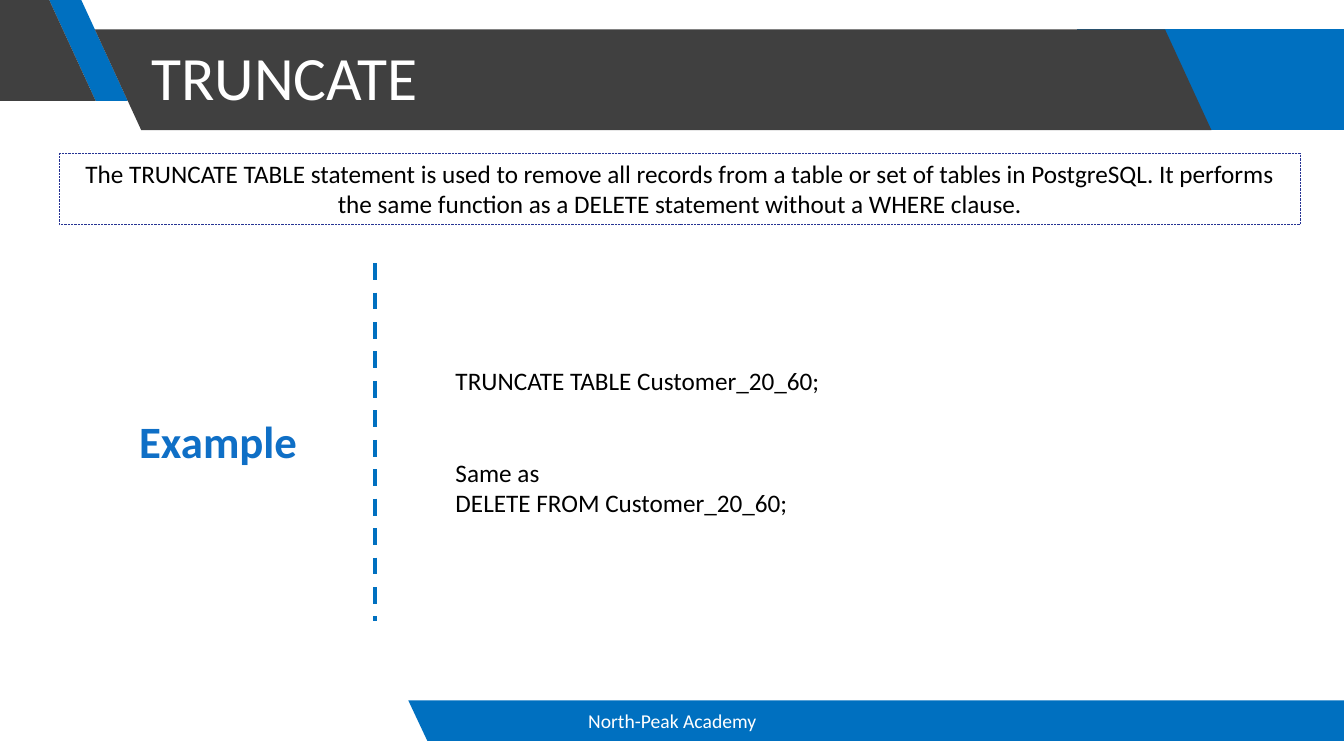
from lxml.etree import SubElement
from pptx import Presentation
from pptx.dml.color import RGBColor
from pptx.enum.dml import MSO_LINE
from pptx.enum.shapes import MSO_CONNECTOR, MSO_SHAPE
from pptx.enum.text import MSO_ANCHOR, MSO_AUTO_SIZE, PP_ALIGN
from pptx.oxml.ns import qn
from pptx.util import Cm, Pt

WIDE, HIGH = 33.87, 19.05
SLANT = 1.17
HUES = {
    "dark": "404040",
    "blue": "0070C0",
    "navy": "263393",
    "azure": "0F6FC6",
    "white": "FFFFFF",
    "black": "000000",
}


def hue(name):
    """Return the named colour."""
    return RGBColor.from_string(HUES[name])


def place(shape, box):
    """Move a shape to a box given in centimetres."""
    shape.left, shape.top, shape.width, shape.height = map(Cm, box)


def write(shape, lines, size, color, align=PP_ALIGN.LEFT, anchor=MSO_ANCHOR.TOP, bold=False):
    """Fill a shape with evenly styled lines and return its paragraphs."""
    frame = shape.text_frame
    frame.word_wrap = True
    frame.auto_size = MSO_AUTO_SIZE.NONE
    frame.vertical_anchor = anchor
    frame.text = "\n".join(lines)
    for par in frame.paragraphs:
        par.alignment = align
        font = par.font
        font.name, font.size, font.bold = "Calibri", Pt(size), bold
        font.color.rgb = hue(color)
    return frame.paragraphs


def label(slide, box, lines, *style, **more):
    """Add a text box and return its paragraphs."""
    return write(slide.shapes.add_textbox(*map(Cm, box)), lines, *style, **more)


def slab(slide, box, color, near=0, far=0):
    """Draw a band whose bottom corners shift right by near and far."""
    left, top, width, height = box
    right, base = left + width, top + height
    spots = [(right, top), (right + far, base), (left + near, base)]
    form = slide.shapes.build_freeform(Cm(left), Cm(top))
    form.add_line_segments([(Cm(x), Cm(y)) for x, y in spots])
    band = form.convert_to_shape()
    band.shadow.inherit = False
    band.fill.solid()
    band.fill.fore_color.rgb = hue(color)
    band.line.fill.background()


def header(slide, box, text):
    """Draw the slanted bands and the title over them."""
    left, top, width, height = box
    drop, bar = top + 0.74, left + 2.39
    slab(slide, (left + 27.13, drop, width - 27.13, height), "blue")
    slab(slide, (left + 1.24, top, 0.81, height), "blue", SLANT, SLANT)
    slab(slide, (left, top, 1.24, height), "dark", far=SLANT)
    slab(slide, (bar, drop, 26.97, height), "dark", SLANT, SLANT)
    title = slide.shapes.title
    title.element.getparent().append(title.element)
    place(title, (bar + SLANT, top + 0.18, 25.76, 3.68))
    par, = write(title, [text], 44, "white", anchor=MSO_ANCHOR.MIDDLE)
    par.line_spacing = 0.9


def footer(slide, box, text):
    """Draw the footer band and its name."""
    left, top, width, height = box
    slab(slide, box, "blue", near=0.48)
    label(slide, (left + 0.94, top, 11.43, height), [text], 14, "white",
          PP_ALIGN.CENTER, MSO_ANCHOR.MIDDLE)


def summary(slide, box, text):
    """Draw the dotted frame with the definition."""
    frame = slide.shapes.add_shape(MSO_SHAPE.RECTANGLE, *map(Cm, box))
    frame.shadow.inherit = False
    frame.fill.background()
    frame.line.color.rgb = hue("navy")
    frame.line.width = Pt(0.5)
    frame.line.dash_style = MSO_LINE.ROUND_DOT
    write(frame, [text], 18, "black", PP_ALIGN.CENTER)


def sample(slide, box, name, lines):
    """Draw the heading, the dashed rule and the code."""
    left, top, width, height = box
    rule = Cm(left + 8.28)
    line = slide.shapes.add_connector(
        MSO_CONNECTOR.STRAIGHT, rule, Cm(top), rule, Cm(top + height))
    SubElement(line.element.spPr, qn("a:effectLst"))
    line.line.color.rgb = hue("blue")
    line.line.width = Pt(3)
    line.line.dash_style = MSO_LINE.DASH
    pars = label(slide, (left + 10.06, top + 2.46, width - 10.06, 4.11), lines, 18, "black")
    pars[1].space_before = Pt(44)
    label(slide, (left, top + 3.68, 8.66, 1.63), [name], 32, "azure",
          PP_ALIGN.CENTER, bold=True)


def main():
    """Build and save the slide."""
    deck = Presentation()
    deck.slide_width, deck.slide_height = Cm(WIDE), Cm(HIGH)
    slide = deck.slides.add_slide(deck.slide_layouts[5])
    header(slide, (0, 0, WIDE, 2.54), "TRUNCATE")
    footer(slide, (10.29, 17.65, WIDE - 10.29, 1.02), "North-Peak Academy")
    summary(slide, (1.5, 3.86, 31.27, 1.8),
            "The TRUNCATE TABLE statement is used to remove all records from a table "
            "or set of tables in PostgreSQL. It performs the same function as a DELETE "
            "statement without a WHERE clause.")
    sample(slide, (1.17, 6.63, 31.04, 9.02), "Example",
           ["TRUNCATE TABLE Customer_20_60;", "Same as", "DELETE FROM Customer_20_60;"])
    deck.save("out.pptx")


if __name__ == "__main__":
    main()
